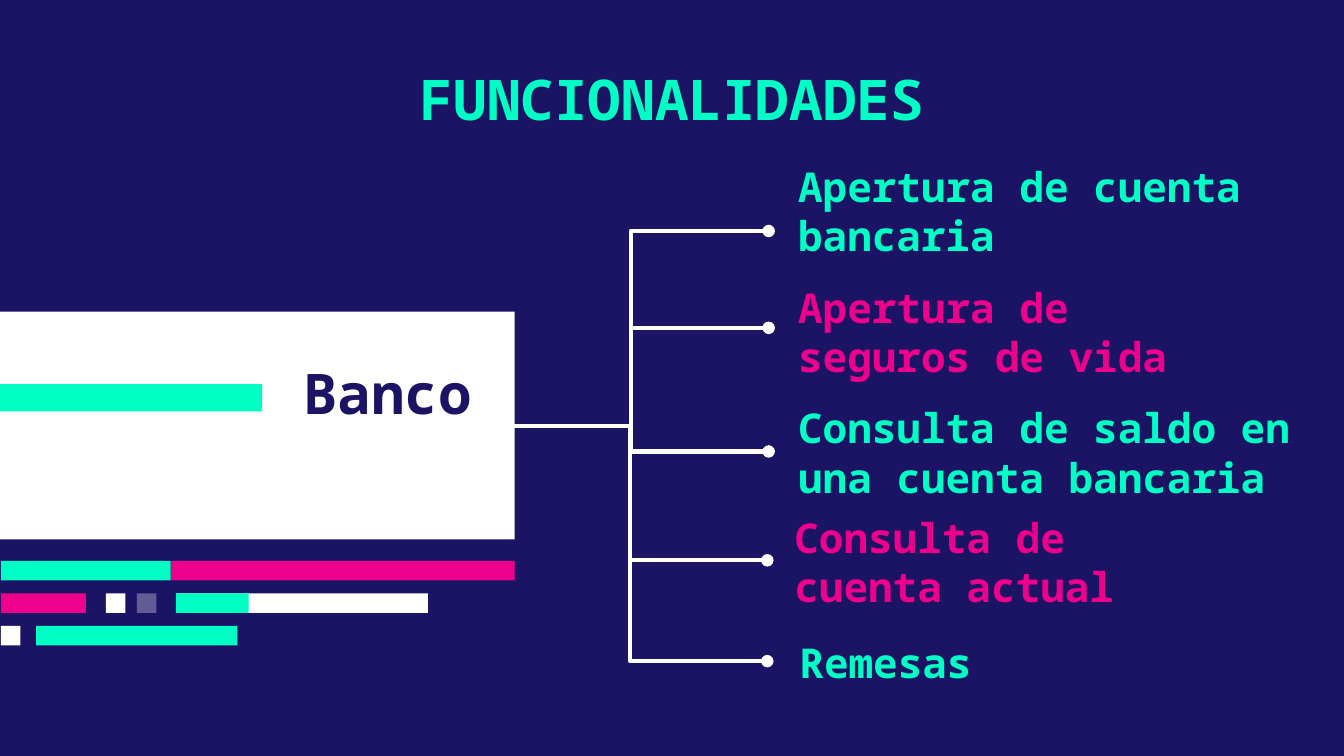
from dataclasses import dataclass

from lxml import etree
from pptx import Presentation
from pptx import util as u
from pptx.dml.color import RGBColor
from pptx.enum import shapes, text
from pptx.oxml import ns

NAVY = RGBColor(0x1B, 0x14, 0x64)
MINT = RGBColor(0x00, 0xFF, 0xC5)
PINK = RGBColor(0xEC, 0x00, 0x8C)
WHITE = RGBColor(0xFF, 0xFF, 0xFF)
FONT = "Noto Sans Mono"

HUB_X, HUB_Y = 264.2, 228.2
BAR_TOP, BAR_STEP, BAR_HEIGHT = 300.5, 17.4, 10.5


@dataclass
class Feature:
    label: str
    color: RGBColor
    left: float
    top: float
    width: float
    height: float
    end_x: float
    end_y: float


@dataclass
class Bar:
    row: int
    left: float
    width: float
    color: RGBColor
    opacity: int = 100


FEATURES = [
    Feature("Apertura de cuenta bancaria", MINT, 420.5, 87.8, 255.6, 49.7, 411.8, 123.8),
    Feature("Apertura de seguros de vida", PINK, 420.5, 141.8, 255.6, 71.3, 411.8, 175.7),
    Feature("Consulta de saldo en una cuenta bancaria", MINT, 420.5, 217.4, 298.8, 49.7, 411.8, 241.9),
    Feature("Consulta de cuenta actual", PINK, 418.5, 275.8, 242.6, 49.7, 411.1, 300.2),
    Feature("Remesas", MINT, 421.2, 329.8, 298.8, 49.7, 411.1, 354.2),
]

BARS = [
    Bar(0, 91.5, 184.3, PINK),
    Bar(0, 0.5, 91, MINT),
    Bar(1, 94.3, 134.9, WHITE),
    Bar(1, 94.3, 39, MINT),
    Bar(1, 0.5, 45.5, PINK),
    Bar(1, 73.4, 10.5, WHITE, 31),
    Bar(1, 56.7, 10.5, WHITE),
    Bar(2, 0.5, 10.5, WHITE),
    Bar(2, 19.4, 107.8, MINT),
]


def add_text(slide, content: str, left: float, top: float, width: float, height: float, *,
             size: float, color: RGBColor, align=text.PP_ALIGN.LEFT,
             anchor=text.MSO_ANCHOR.MIDDLE, inset_y: float = 0) -> None:
    box = slide.shapes.add_textbox(u.Pt(left), u.Pt(top), u.Pt(width), u.Pt(height))
    frame = box.text_frame
    frame.word_wrap = True
    frame.vertical_anchor = anchor
    frame.margin_left = frame.margin_right = u.Pt(7.2)
    frame.margin_top = frame.margin_bottom = u.Pt(inset_y)
    paragraph = frame.paragraphs[0]
    paragraph.alignment = align
    run = paragraph.add_run()
    run.text = content
    run.font.name = FONT
    run.font.size = u.Pt(size)
    run.font.bold = True
    run.font.color.rgb = color


def add_block(slide, left: float, top: float, width: float, height: float,
              color: RGBColor, opacity: int = 100) -> None:
    shape = slide.shapes.add_shape(shapes.MSO_SHAPE.RECTANGLE, u.Pt(left), u.Pt(top),
                                   u.Pt(width), u.Pt(height))
    shape.shadow.inherit = False
    shape.fill.solid()
    shape.fill.fore_color.rgb = color
    shape.line.fill.background()
    if opacity < 100:
        tint = shape.fill._xPr.find(".//" + ns.qn("a:srgbClr"))
        etree.SubElement(tint, ns.qn("a:alpha"), val=str(opacity * 1000))


def add_branch(slide, end_x: float, end_y: float) -> None:
    connector = slide.shapes.add_connector(shapes.MSO_CONNECTOR.ELBOW, u.Pt(HUB_X),
                                           u.Pt(HUB_Y), u.Pt(end_x), u.Pt(end_y))
    connector.line.color.rgb = WHITE
    connector.line.width = u.Pt(2.25)
    etree.SubElement(connector.line._get_or_add_ln(), ns.qn("a:tailEnd"), type="oval")
    etree.SubElement(connector._element.spPr, ns.qn("a:effectLst"))


def build() -> None:
    presentation = Presentation()
    presentation.slide_width = u.Pt(720)
    presentation.slide_height = u.Pt(405)
    slide = presentation.slides.add_slide(presentation.slide_layouts[6])
    slide.background.fill.solid()
    slide.background.fill.fore_color.rgb = NAVY

    add_block(slide, 0, 167, 275.8, 122, WHITE)
    add_text(slide, "FUNCIONALIDADES", 100.8, 27.4, 518.4, 52.6, size=30, color=MINT,
             align=text.PP_ALIGN.CENTER, anchor=text.MSO_ANCHOR.TOP, inset_y=7.2)
    add_block(slide, 0, 205.8, 140.4, 14.6, MINT)
    add_text(slide, "Banco", 68.4, 194.4, 191.5, 31, size=30, color=NAVY,
             align=text.PP_ALIGN.RIGHT)
    for bar in BARS:
        add_block(slide, bar.left, BAR_TOP + bar.row * BAR_STEP, bar.width, BAR_HEIGHT,
                  bar.color, bar.opacity)
    for feature in FEATURES:
        add_text(slide, feature.label, feature.left, feature.top, feature.width,
                 feature.height, size=22, color=feature.color)
        add_branch(slide, feature.end_x, feature.end_y)

    presentation.save("out.pptx")


build()
